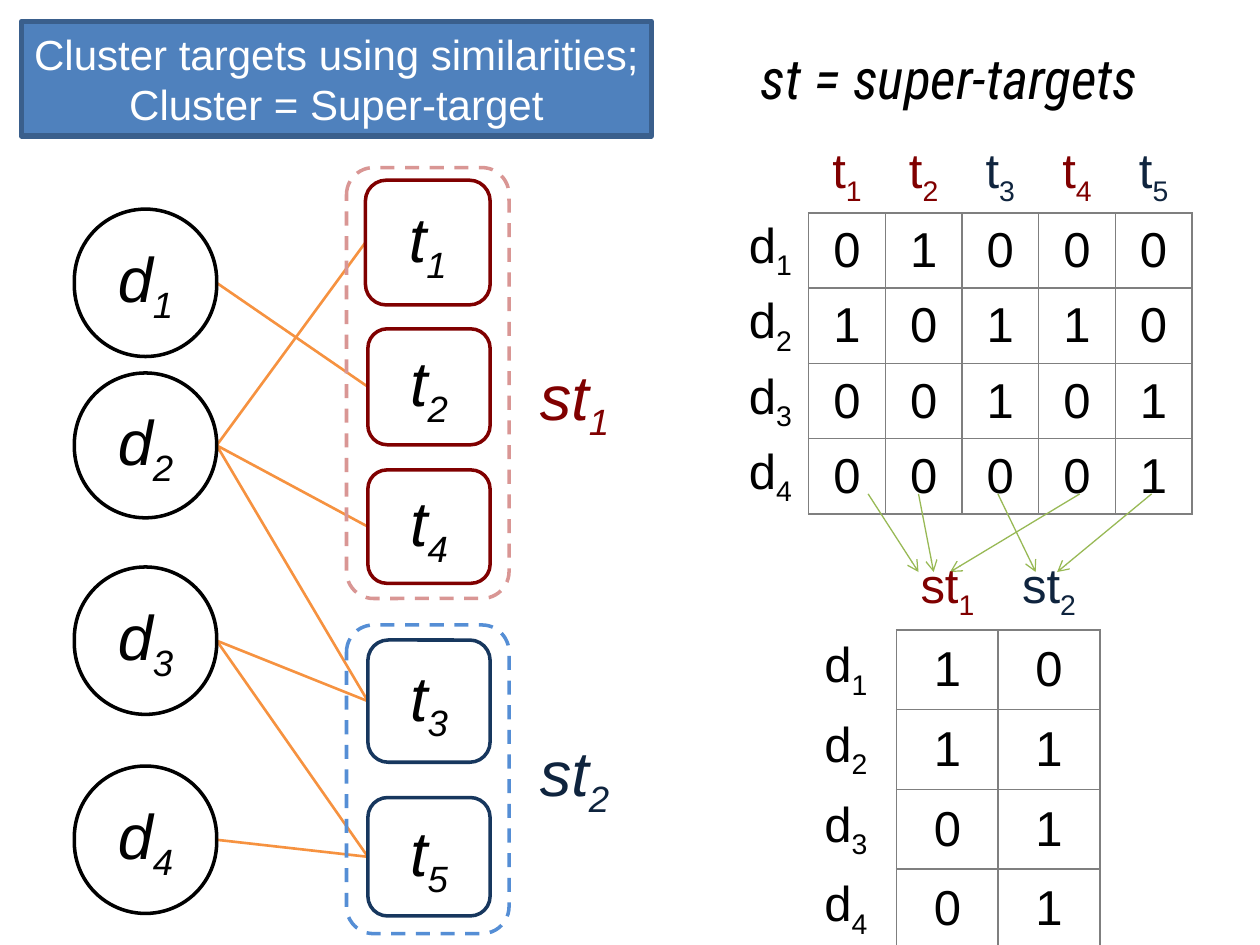
from dataclasses import dataclass
from typing import Optional

from lxml.etree import SubElement
from pptx import Presentation
from pptx.dml.color import RGBColor
from pptx.enum.dml import MSO_LINE_DASH_STYLE as Dash
from pptx.enum.shapes import MSO_CONNECTOR as Connector, MSO_SHAPE as Preset
from pptx.enum.text import MSO_ANCHOR as Anchor, PP_ALIGN as Align
from pptx.oxml.ns import qn
from pptx.util import Inches, Pt

BLACK = RGBColor(0x00, 0x00, 0x00)
WHITE = RGBColor(0xFF, 0xFF, 0xFF)
MAROON = RGBColor(0x80, 0x00, 0x00)
NAVY = RGBColor(0x0F, 0x24, 0x3E)
NAVY_EDGE = RGBColor(0x17, 0x37, 0x5E)
PINK = RGBColor(0xD9, 0x96, 0x94)
SKY = RGBColor(0x55, 0x8E, 0xD5)
ORANGE = RGBColor(0xF6, 0x92, 0x40)
GREEN = RGBColor(0x98, 0xB9, 0x55)
BLUE = RGBColor(0x4F, 0x81, 0xBD)
BLUE_EDGE = RGBColor(0x3A, 0x5F, 0x8C)
GREY = RGBColor(0x7F, 0x7F, 0x7F)
COLUMNS, ROWS = 100, 75
CELL = Inches(0.1)


@dataclass(frozen=True)
class Area:
    """A rectangle in grid columns and rows."""
    left: float
    top: float
    width: float
    height: float

    def emu(self) -> list[int]:
        """Return the rectangle in slide units."""
        return [grid(n) for n in (self.left, self.top, self.width, self.height)]

    def side(self, share: float) -> tuple[float, float]:
        """Return the mid-height point at a share of the width."""
        return self.left + self.width * share, self.top + self.height / 2


@dataclass(frozen=True)
class Label:
    """A symbol with an optional subscript."""
    base: str
    sub: str = ""
    color: RGBColor = BLACK


@dataclass(frozen=True)
class Cluster:
    """A super-target: its members, frame, caption place and colours."""
    label: Label
    members: tuple[int, ...]
    frame: Area
    caption: Area
    edge: RGBColor
    dash: RGBColor


CLUSTERS = (
    Cluster(Label("st", "1", MAROON), (1, 2, 4), Area(27.5, 13.3, 12.9, 34.2),
            Area(41.7, 28.2, 7.8, 7.1), MAROON, PINK),
    Cluster(Label("st", "2", NAVY), (3, 5), Area(27.5, 49.6, 12.9, 24.5),
            Area(41.7, 58.1, 7.8, 7.1), NAVY_EDGE, SKY),
)
OWNER = {member: cluster for cluster in CLUSTERS for member in cluster.members}
TARGETS = {
    1: Area(29, 14.3, 9.9, 9.9),
    2: Area(29.2, 26.1, 9.7, 9.2),
    3: Area(29.2, 50.8, 9.7, 9.7),
    4: Area(29.2, 37.3, 9.7, 9),
    5: Area(29.2, 63.3, 9.7, 9.4),
}
DRUGS = [Area(5.9, top, 11.3, height)
         for top, height in ((16.6, 11.7), (29.6, 11.5), (45, 11.7), (60.8, 11.7))]
MATRIX = [[0, 1, 0, 0, 0], [1, 0, 1, 1, 0], [0, 0, 1, 0, 1], [0, 0, 0, 0, 1]]
MERGED = [[int(any(row[m - 1] for m in cluster.members)) for cluster in CLUSTERS]
          for row in MATRIX]
MERGE_ARROWS = ((91.4, 83.9), (85.7, 75.4), (79.2, 82.2), (72.9, 74.1), (68.9, 72.9))
ARROW_TOP, ARROW_BOTTOM = 39.2, 45.4


def grid(count: float) -> int:
    """Convert grid cells to slide units."""
    return round(count * CELL)


def write(para, label: Label, size: float, italic: bool = False, face: str = "Arial") -> None:
    """Add a label's symbol and subscript as runs."""
    for text, offset in ((label.base, None), (label.sub, "-25000")):
        if not text:
            continue
        span = para.add_run()
        span.text = text
        span.font.name, span.font.size = face, Pt(size)
        span.font.italic = italic
        span.font.color.rgb = label.color
        if offset:
            span.font._element.set("baseline", offset)


def draw_box(page, preset, area: Area, fill: Optional[RGBColor], edge: RGBColor,
             weight: float):
    """Draw a preset shape with flat fill and outline."""
    box = page.shapes.add_shape(preset, *area.emu())
    box.shadow.inherit = False
    if fill is None:
        box.fill.background()
    else:
        box.fill.solid()
        box.fill.fore_color.rgb = fill
    box.line.color.rgb = edge
    box.line.width = Pt(weight)
    return box


def fill_frame(box, label: Label, size: float, italic: bool = True, inset: float = 0,
               face: str = "Arial", wrap: bool = True) -> None:
    """Write a centred label in the middle of a box."""
    frame = box.text_frame
    frame.word_wrap = wrap
    frame.vertical_anchor = Anchor.MIDDLE
    frame.margin_left = frame.margin_right = grid(inset)
    frame.margin_top = frame.margin_bottom = grid(inset)
    para = frame.paragraphs[0]
    para.alignment = Align.CENTER
    write(para, label, size, italic, face)


def draw_node(page, area: Area, label: Label, edge: RGBColor, round_ends: bool) -> None:
    """Draw one labelled graph node."""
    box = draw_box(page, Preset.ROUNDED_RECTANGLE, area, WHITE, edge, 2)
    if round_ends:
        box.adjustments[0] = 0.5
    fill_frame(box, label, 36)


def draw_line(page, start: tuple[float, float], end: tuple[float, float],
              color: RGBColor, weight: float, arrow: bool = False) -> None:
    """Draw a straight line, with an open arrowhead on request."""
    line = page.shapes.add_connector(Connector.STRAIGHT, *map(grid, start + end))
    line.line.color.rgb = color
    line.line.width = Pt(weight)
    if arrow:
        SubElement(line.line._get_or_add_ln(), qn("a:tailEnd"), type="arrow")
    SubElement(line._element.spPr, qn("a:effectLst"))


def set_borders(cell, sides: str) -> None:
    """Rule the named sides of a cell and clear the others."""
    properties = cell._tc.get_or_add_tcPr()
    for side in "LRTB":
        border = SubElement(properties, qn(f"a:ln{side}"), w=str(Pt(1)))
        if side in sides:
            paint = SubElement(border, qn("a:solidFill"))
            SubElement(paint, qn("a:srgbClr"), val=str(GREY))
        else:
            SubElement(border, qn("a:noFill"))


def draw_matrix(page, area: Area, heads: list[Label], values: list[list[int]],
                head_height: float) -> None:
    """Draw a ruled matrix with drug rows and unruled headings."""
    body = [[Label("d", str(n)), *(Label(str(v)) for v in row)]
            for n, row in enumerate(values, 1)]
    rows = [[Label(""), *heads], *body]
    table = page.shapes.add_table(len(rows), len(rows[0]), *area.emu()).table
    table.first_row = table.horz_banding = False
    for column in table.columns:
        column.width = grid(area.width / len(rows[0]))
    for r, row in enumerate(rows):
        table.rows[r].height = grid((area.height - head_height) / len(body) if r else head_height)
        for c, label in enumerate(row):
            cell = table.cell(r, c)
            set_borders(cell, "LRTB" if r and c else "R" if r else "B" if c else "")
            cell.fill.background()
            cell.vertical_anchor = Anchor.MIDDLE
            cell.margin_top = cell.margin_bottom = grid(0.3)
            para = cell.text_frame.paragraphs[0]
            para.alignment = Align.CENTER
            write(para, label, 28)


def main() -> None:
    """Build the super-target slide."""
    deck = Presentation()
    deck.slide_width, deck.slide_height = grid(COLUMNS), grid(ROWS)
    page = deck.slides.add_slide(deck.slide_layouts[6])
    for drug, row in zip(DRUGS, MATRIX):
        for n, linked in enumerate(row, 1):
            if linked:
                draw_line(page, drug.side(1), TARGETS[n].side(0), ORANGE, 1.5)
    for n, area in TARGETS.items():
        draw_node(page, area, Label("t", str(n)), OWNER[n].edge, False)
    for n, area in enumerate(DRUGS, 1):
        draw_node(page, area, Label("d", str(n)), BLACK, True)
    heads = [Label("t", str(n), OWNER[n].label.color) for n in TARGETS]
    draw_matrix(page, Area(58.1, 11, 36.5, 29.8), heads, MATRIX, 5.9)
    title = page.shapes.add_textbox(*Area(52.9, 1.1, 44.9, 10).emu())
    fill_frame(title, Label("st = super-targets"), 32, face="Roboto Condensed")
    banner = draw_box(page, Preset.RECTANGLE, Area(1.7, 1.7, 50, 9.1), BLUE, BLUE_EDGE, 3)
    text = "Cluster targets using similarities; Cluster = Super-target"
    fill_frame(banner, Label(text, color=WHITE), 24, italic=False, inset=0.5)
    for cluster in CLUSTERS:
        frame = draw_box(page, Preset.ROUNDED_RECTANGLE, cluster.frame, None, cluster.dash, 2)
        frame.line.dash_style = Dash.DASH
        caption = page.shapes.add_textbox(*cluster.caption.emu())
        fill_frame(caption, cluster.label, 36, wrap=False)
    for start, end in MERGE_ARROWS:
        draw_line(page, (start, ARROW_TOP), (end, ARROW_BOTTOM), GREEN, 0.75, True)
    draw_matrix(page, Area(63.1, 43.7, 24.2, 31.6), [c.label for c in CLUSTERS], MERGED, 6.3)
    deck.save("out.pptx")


if __name__ == "__main__":
    main()
